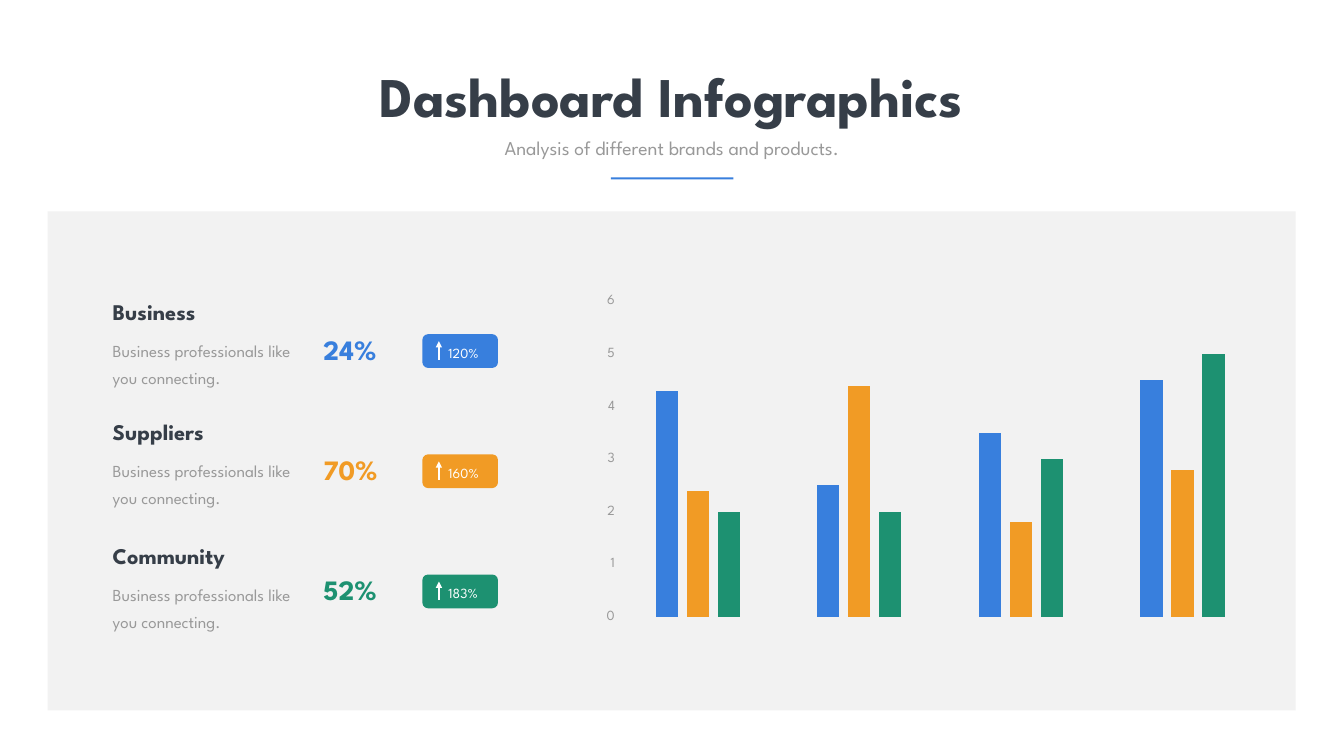
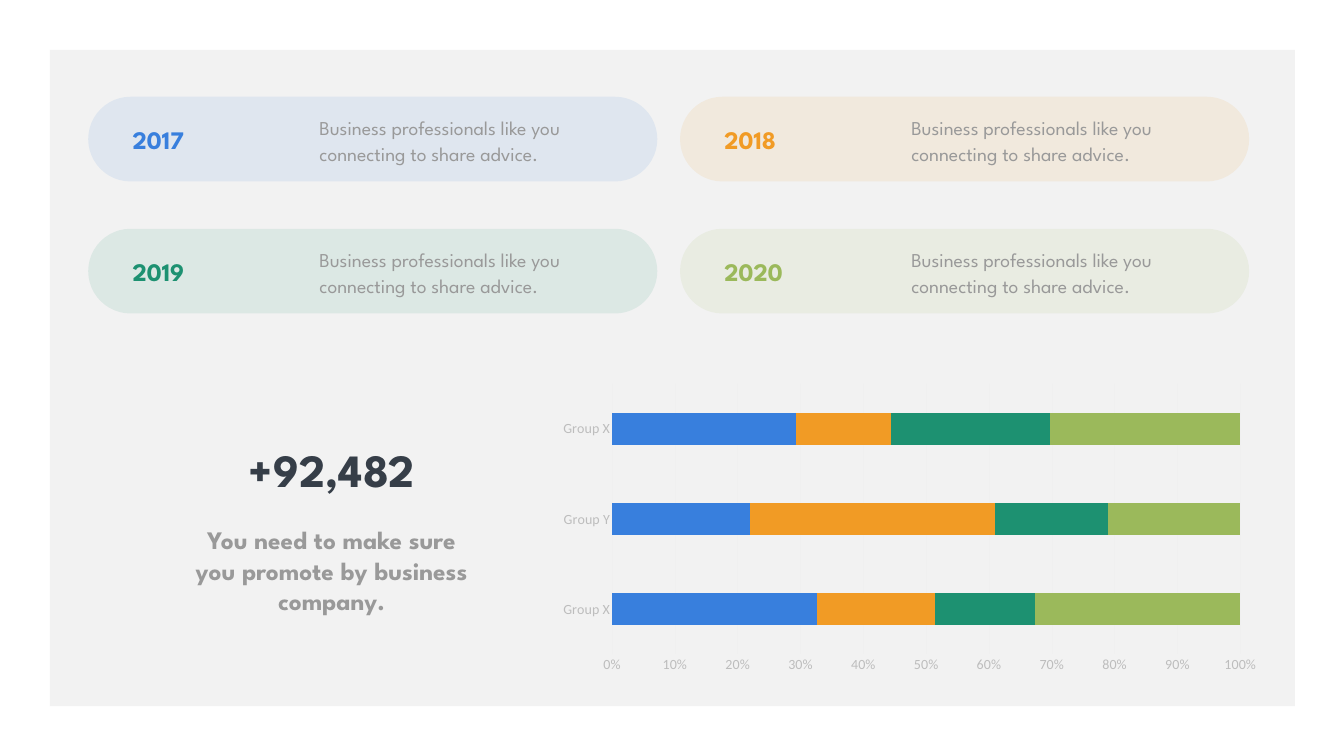
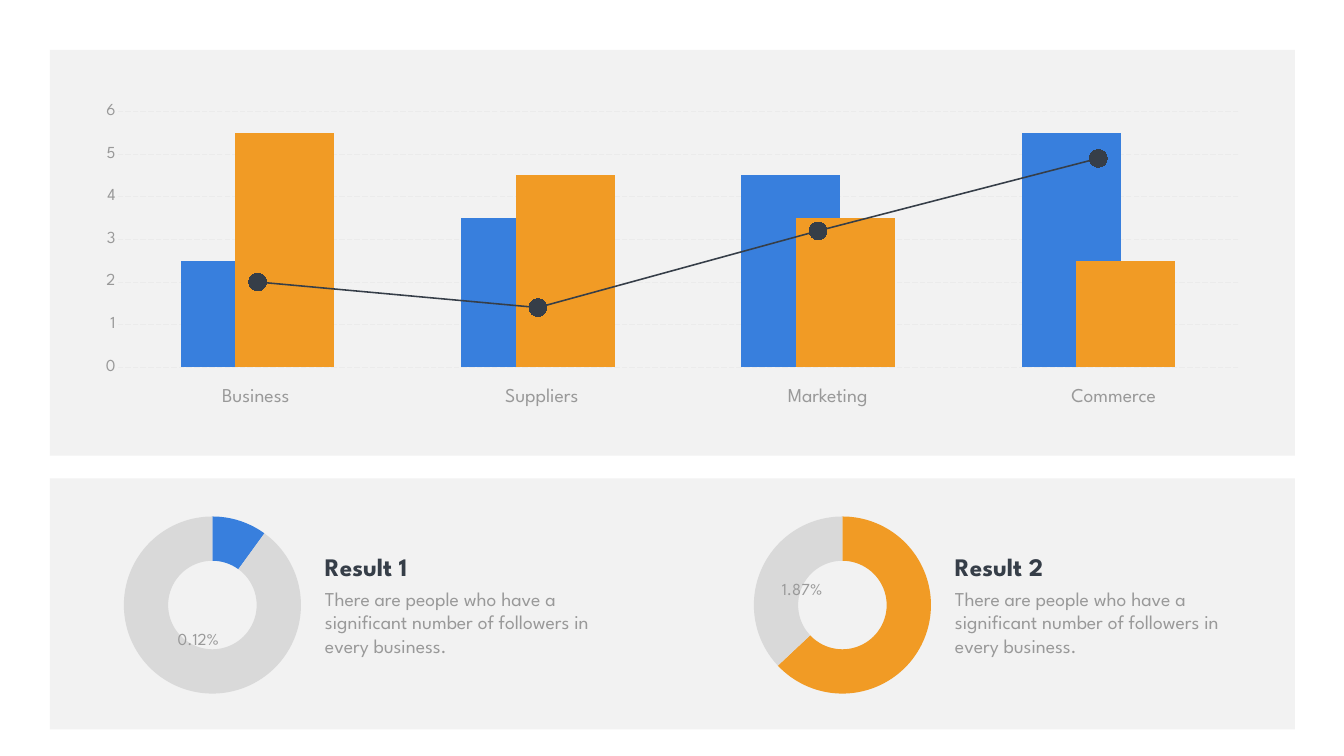
from lxml import etree
from pptx import Presentation
from pptx.chart.data import CategoryChartData
from pptx.dml.color import RGBColor
from pptx.enum.chart import XL_CHART_TYPE, XL_MARKER_STYLE, XL_TICK_MARK
from pptx.enum.dml import MSO_LINE
from pptx.enum.shapes import MSO_CONNECTOR, MSO_SHAPE
from pptx.enum.text import MSO_AUTO_SIZE, PP_ALIGN
from pptx.oxml import parse_xml
from pptx.oxml.ns import nsdecls, qn
from pptx.util import Pt

RECT, ROUNDED = MSO_SHAPE.RECTANGLE, MSO_SHAPE.ROUNDED_RECTANGLE
LEFT, CENTER = PP_ALIGN.LEFT, PP_ALIGN.CENTER
COLUMNS, BARS_100 = XL_CHART_TYPE.COLUMN_CLUSTERED, XL_CHART_TYPE.BAR_STACKED_100
DOUGHNUT = XL_CHART_TYPE.DOUGHNUT
NO_TICK, LONG_DASH, CIRCLE = XL_TICK_MARK.NONE, MSO_LINE.LONG_DASH, XL_MARKER_STYLE.CIRCLE
STRAIGHT = MSO_CONNECTOR.STRAIGHT

BLUE, ORANGE, GREEN, LIME = "387FDD", "F19B25", "1D9171", "9BB95B"
DARK, GRAY, PANEL, WHITE = "363E48", "999999", "F2F2F2", "FFFFFF"
RING, AXIS_TEXT, AXIS_LINE, DASHES = "D9D9D9", "BDBDBD", "F0F0F0", "EBEBEB"
FONT, AXIS_FONT = "League Spartan", "Calibri"


def rgb(color):
    return RGBColor.from_string(color)


def set_font(font, size, color, name=FONT, bold=False):
    font.size, font.name, font.bold = Pt(size), name, bold
    font.color.rgb = rgb(color)


def paint(fill, color):
    fill.solid()
    fill.fore_color.rgb = rgb(color)


class Deck:
    """The presentation's style and the slide being filled."""

    def __init__(self):
        self.prs = Presentation()
        self.prs.slide_width, self.prs.slide_height = Pt(1920), Pt(1080)
        self.shapes = None

    def new_slide(self):
        self.shapes = self.prs.slides.add_slide(self.prs.slide_layouts[6]).shapes

    def block(self, x, y, w, h, color=PANEL, kind=RECT, rounding=None, opacity=None):
        shape = self.shapes.add_shape(kind, Pt(x), Pt(y), Pt(w), Pt(h))
        shape.shadow.inherit = False
        paint(shape.fill, color)
        shape.line.fill.background()
        if rounding is not None:
            shape.adjustments[0] = rounding
        if opacity is not None:
            tint = shape.fill._xPr.find(".//" + qn("a:srgbClr"))
            etree.SubElement(tint, qn("a:alpha"), val=str(opacity * 1000))

    def text(self, words, x, y, w, h, size=28, color=GRAY, bold=False,
             align=LEFT, spacing=None, wrap=True):
        box = self.shapes.add_textbox(Pt(x), Pt(y), Pt(w), Pt(h))
        frame = box.text_frame
        frame.word_wrap = wrap
        frame.auto_size = MSO_AUTO_SIZE.SHAPE_TO_FIT_TEXT
        paragraph = frame.paragraphs[0]
        paragraph.alignment = align
        if spacing:
            paragraph.line_spacing = Pt(spacing)
        run = paragraph.add_run()
        run.text = words
        set_font(run.font, size, color, bold=bold)

    def up_arrow(self, x, bottom, top):
        arrow = self.shapes.add_connector(STRAIGHT, Pt(x), Pt(bottom), Pt(x), Pt(top))
        arrow.line.color.rgb = rgb(WHITE)
        arrow.line.width = Pt(3)
        etree.SubElement(arrow.line._get_or_add_ln(), qn("a:tailEnd"), type="triangle")
        etree.SubElement(arrow._element.spPr, qn("a:effectLst"))

    def chart(self, kind, x, y, w, h, categories, series, size=24, font=FONT):
        """Add a chart; series is a list of (colour, values)."""
        data = CategoryChartData()
        data.categories = categories
        for number, (_, values) in enumerate(series, 1):
            data.add_series(f"Series {number}", values)
        chart = self.shapes.add_chart(kind, Pt(x), Pt(y), Pt(w), Pt(h), data).chart
        chart.has_legend = chart.has_title = False
        set_font(chart.font, size, GRAY, font)
        return chart

    def bars(self, kind, x, y, w, h, categories, series, gap, overlap, **style):
        chart = self.chart(kind, x, y, w, h, categories, series, **style)
        plot = chart.plots[0]
        plot.gap_width, plot.overlap, plot.vary_by_categories = gap, overlap, False
        for bar, (color, _) in zip(plot.series, series):
            paint(bar.format.fill, color)
            bar.invert_if_negative = False
        return chart

    def value_axis(self, chart, size, color=GRAY, font=FONT, grid=PANEL,
                   grid_width=0.75, dash=None, top=None):
        axis = chart.value_axis
        axis.major_tick_mark = axis.minor_tick_mark = NO_TICK
        axis.format.line.fill.background()
        set_font(axis.tick_labels.font, size, color, font)
        line = axis.major_gridlines.format.line
        line.color.rgb = rgb(grid)
        line.width = Pt(grid_width)
        if dash:
            line.dash_style = dash
        if top:
            axis.minimum_scale, axis.maximum_scale, axis.major_unit = 0, top, 1
        return axis

    def doughnut(self, x, y, color, values):
        chart = self.chart(DOUGHNUT, x, y, 281.5, 272.9, ["1", "2"],
                           [(color, values)], size=10, font=AXIS_FONT)
        ring = chart.plots[0].series[0]
        for index, slice_color in enumerate((color, RING)):
            paint(ring.points[index].format.fill, slice_color)


def place_plot(chart, x, y, w, h):
    """Fix the inner plot area, in fractions of the chart."""
    area = chart._chartSpace.chart.plotArea
    for old in area.findall(qn("c:layout")):
        area.remove(old)
    sizes = "".join(f'<c:{tag} val="{value}"/>' for tag, value in zip("xywh", (x, y, w, h)))
    area.insert(0, parse_xml(
        f'<c:layout {nsdecls("c")}><c:manualLayout><c:layoutTarget val="inner"/>'
        f'<c:xMode val="edge"/><c:yMode val="edge"/>{sizes}</c:manualLayout></c:layout>'))


def last_series_to_line(chart, color):
    """Turn the last column series into a line with round markers."""
    columns = chart.plots[0]._element
    series = columns.findall(qn("c:ser"))[-1]
    for tag in ("c:invertIfNegative", "c:spPr"):
        for old in series.findall(qn(tag)):
            series.remove(old)
    axes = "".join(f'<c:axId val="{axis.get("val")}"/>'
                   for axis in columns.findall(qn("c:axId")))
    line_plot = parse_xml(
        f'<c:lineChart {nsdecls("c")}><c:grouping val="standard"/>'
        f'<c:varyColors val="0"/><c:marker val="1"/>{axes}</c:lineChart>')
    line_plot.insert(2, series)
    columns.addnext(line_plot)
    trend = chart.plots[1].series[0]
    trend.smooth = False
    trend.format.line.color.rgb = rgb(color)
    trend.format.line.width = Pt(2.25)
    trend.marker.style, trend.marker.size = CIRCLE, 25
    paint(trend.marker.format.fill, color)
    trend.marker.format.line.color.rgb = rgb(color)


def overview_slide(deck):
    deck.new_slide()
    deck.block(68, 302, 1783, 713)
    growth = deck.bars(COLUMNS, 807, 331.2, 1047, 669, ["1", "2", "3", "4"], [
        (BLUE, (4.3, 2.5, 3.5, 4.5)),
        (ORANGE, (2.4, 4.4, 1.8, 2.8)),
        (GREEN, (2, 2, 3, 5))], gap=350, overlap=-40, font="Lato")
    growth.category_axis.visible = False
    deck.value_axis(growth, 20, dash=LONG_DASH, top=6)
    place_plot(growth, 0.071, 0.149, 0.882, 0.673)

    metrics = [("Business", "24%", "120%", BLUE, 422.6),
               ("Suppliers", "70%", "160%", ORANGE, 593.3),
               ("Community", "52%", "183%", GREEN, 770.4)]
    for row, (heading, share, change, color, heading_top) in enumerate(metrics):
        deck.block(208.8, 412.6 + row * 173.9, 545.8, 162.7)
        top = 471.6 + row * 171.7
        deck.text(share, 455, top, 108, 55.4, size=40, color=color, bold=True)
        deck.block(603.4, top + 5.8, 108, 48.2, color, ROUNDED)
        deck.text(change, 633.6, top + 16.6, 69, 31.7, size=20, color=WHITE)
        deck.up_arrow(627, top + 42.2, top + 15.8)
        deck.text("Business professionals like you connecting.", 154, heading_top + 51.1,
                  280, 85, size=24, spacing=38.6)
        deck.text(heading, 154, heading_top, 261.4, 46, size=32, color=DARK, bold=True)

    deck.text("Dashboard Infographics", 481.7, 84.2, 955.4, 104.4, size=80, color=DARK,
              bold=True, align=CENTER, wrap=False)
    deck.text("Analysis of different brands and products.", 615.6, 190.8, 688.3, 41,
              align=CENTER)
    deck.block(872.6, 253.4, 175, 2.9, BLUE)


def years_slide(deck):
    deck.new_slide()
    deck.block(71.3, 71.3, 1778.4, 937.4)
    years = [("2017", BLUE), ("2018", ORANGE), ("2019", GREEN), ("2020", LIME)]
    for index, (year, color) in enumerate(years):
        row, column = divmod(index, 2)
        x, y = 126 + column * 845.5, 138.2 + row * 188.6
        deck.block(x, y, 813, 121, color, ROUNDED, rounding=0.5, opacity=10)
        deck.text("Business professionals like you connecting to share advice.",
                  x + 323.3, y + 20.9, 418.3, 79.2, spacing=36.6)
        deck.text(year, x + 56.2, y + 36, 267.8, 51, size=36, color=color, bold=True)

    groups = deck.bars(BARS_100, 784.1, 540, 1031, 430.6, ["Group X", "Group Y", "Group X"], [
        (BLUE, (33, 22, 29)),
        (ORANGE, (19, 39, 15)),
        (GREEN, (16, 18, 25)),
        (LIME, (33, 21, 30))], gap=182, overlap=100, size=20, font=AXIS_FONT)
    shares = deck.value_axis(groups, 20, AXIS_TEXT, AXIS_FONT, grid=AXIS_LINE)
    shares.tick_labels.number_format = "0%"
    shares.tick_labels.number_format_is_linked = False
    names = groups.category_axis
    names.major_tick_mark = names.minor_tick_mark = NO_TICK
    set_font(names.tick_labels.font, 20, AXIS_TEXT, AXIS_FONT)
    names.format.line.color.rgb = rgb(AXIS_LINE)
    names.format.line.width = Pt(0.75)

    deck.text("You need to make sure you promote by business company.", 270.7, 745.9,
              406, 138.2, size=36, bold=True, align=CENTER)
    deck.text("+92,482", 344.2, 627.1, 260, 87, size=66, color=DARK, bold=True,
              align=CENTER, wrap=False)


def results_slide(deck):
    deck.new_slide()
    deck.block(71.3, 683.3, 1778.4, 358.6)
    deck.block(71.3, 71.3, 1778.4, 579.6)
    results = [("Result 1", BLUE, (10, 90), "0.12%", 234, 894.2),
               ("Result 2", ORANGE, (63, 37), "1.87%", 1096.6, 823.7)]
    for index, (heading, color, values, rate, rate_x, rate_y) in enumerate(results):
        x = 162.7 + index * 900
        deck.doughnut(x, 727.9, color, values)
        deck.text(heading, x + 294.5, 783.4, 399, 51, size=36, color=DARK, bold=True)
        deck.text("There are people who have a significant number of followers "
                  "in every business.", x + 294.5, 834.5, 399, 108.7)
        deck.text(rate, rate_x, rate_y, 98.6, 36, size=24, align=CENTER)

    sectors = deck.bars(COLUMNS, 117.4, 140.4, 1685.5, 403.2, ["1", "2", "3", "4"], [
        (BLUE, (2.5, 3.5, 4.5, 5.5)),
        (ORANGE, (5.5, 4.5, 3.5, 2.5)),
        (DARK, (2, 1.4, 3.2, 4.9))], gap=128, overlap=45)
    sectors.category_axis.visible = False
    deck.value_axis(sectors, 24, grid=DASHES, grid_width=1, dash=LONG_DASH, top=6)
    last_series_to_line(sectors, DARK)
    for index, sector in enumerate(("Business", "Suppliers", "Marketing", "Commerce")):
        deck.text(sector, 234 + index * 408.5, 543.6, 262.8, 41, align=CENTER)


def main():
    deck = Deck()
    overview_slide(deck)
    years_slide(deck)
    results_slide(deck)
    deck.prs.save("out.pptx")


if __name__ == "__main__":
    main()
